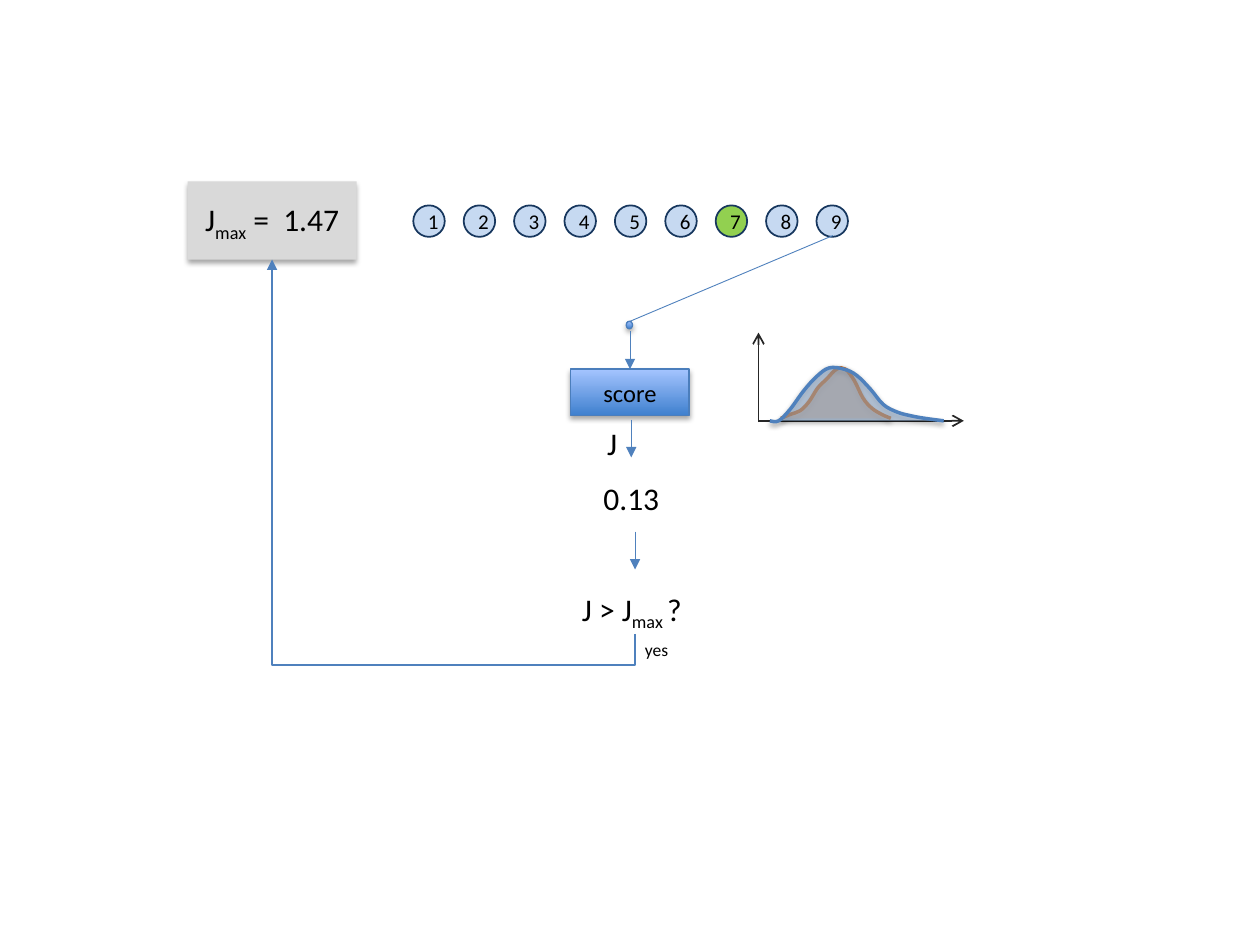
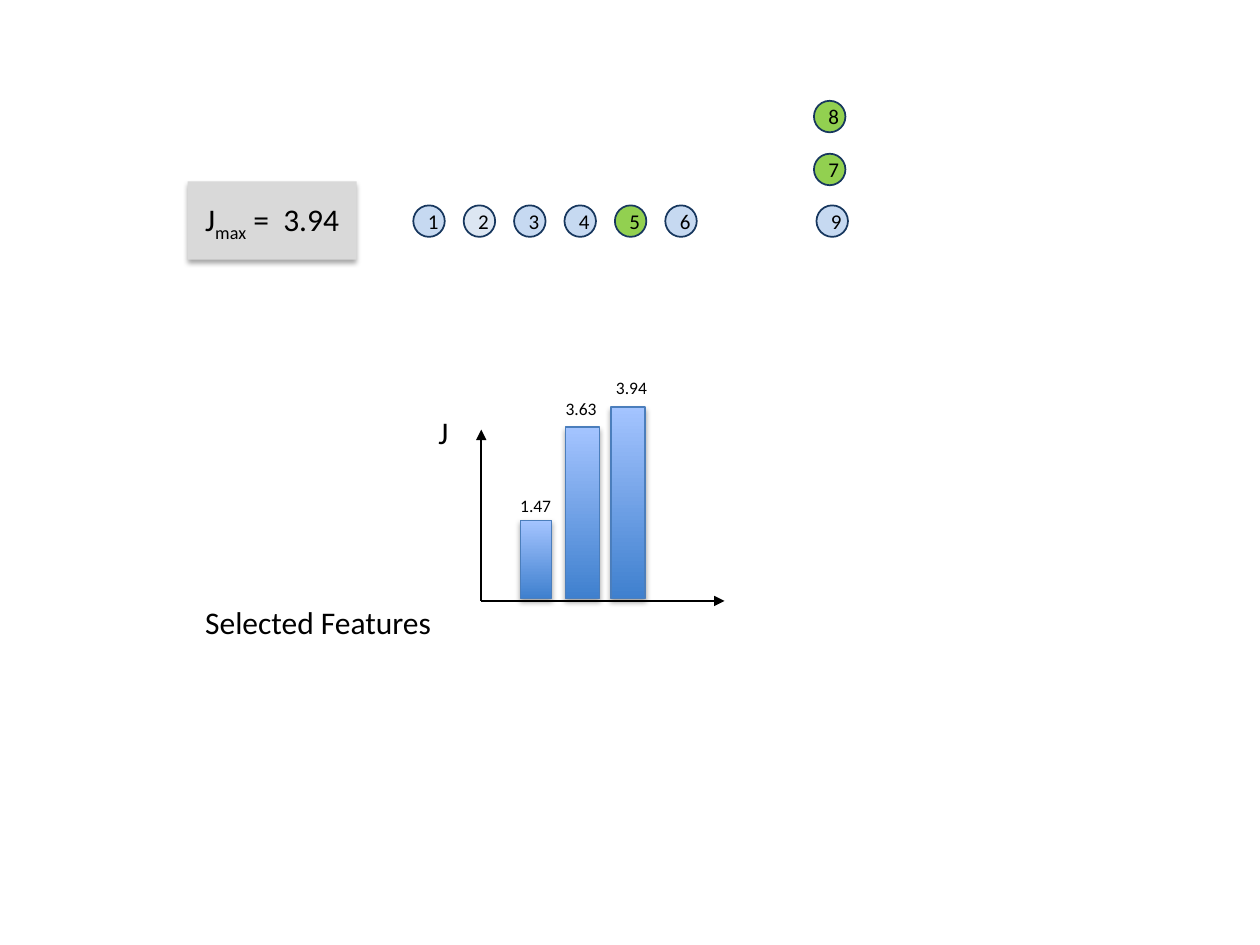
from lxml import etree
from pptx import Presentation
from pptx.dml.color import RGBColor
from pptx.enum import shapes, text
from pptx.oxml import ns
from pptx.util import Inches, Pt

HUES = {
    "black": "000000", "axis": "262626", "navy": "17375E", "blue": "4F81BD",
    "edge": "4B7EBC", "deep": "3F80CE", "light": "A4C4FF", "pale": "C6D9F1",
    "faint": "DCE6F2", "green": "92D050", "gray": "D9D9D9",
    "peach": "FAC090", "orange": "E46C0A", "mist": "95B3D7",
}
FONT = "Calibri"
PLAIN = {}
LOW = {"baseline": "-25000"}
LOOSE = {"spc": "400"}
RECT = shapes.MSO_SHAPE.RECTANGLE
OVAL = shapes.MSO_SHAPE.OVAL
NARROW = [(0, 0.4), (0.07, 0.37), (0.15, 0.34), (0.22, 0.27), (0.29, 0.16),
          (0.36, 0.09), (0.44, 0.01), (0.51, 0.01), (0.58, 0.1),
          (0.65, 0.24), (0.72, 0.32), (0.8, 0.37), (0.87, 0.4)]
WIDE = [(0, 0.43), (0.07, 0.43), (0.16, 0.34), (0.27, 0.19), (0.37, 0.08),
        (0.47, 0.01), (0.59, 0.02), (0.69, 0.07), (0.8, 0.18), (0.9, 0.3),
        (1.01, 0.36), (1.12, 0.39), (1.23, 0.41), (1.38, 0.43)]


def hue(name):
    return RGBColor.from_string(HUES[name])


def sub(node, tag, **attrs):
    return etree.SubElement(node, ns.qn(tag), attrs)


def stroke(item, color, width):
    item.line.color.rgb = hue(color)
    item.line.width = Pt(width)


def shade(shape, alpha=35, drop=1.8):
    glow = sub(shape.element.spPr.find(ns.qn("a:effectLst")), "a:outerShdw",
               blurRad=str(Pt(3.1)), dist=str(Pt(drop)), dir="5400000",
               rotWithShape="0")
    tint = sub(glow, "a:srgbClr", val=HUES["black"])
    sub(tint, "a:alpha", val=str(alpha * 1000))


def write(frame, runs, size):
    para = frame.paragraphs[0]
    for words, extra in runs:
        run = para.add_run()
        run.text = words
        form = {"size": Pt(size), "name": FONT}
        for key, value in form.items():
            setattr(run.font, key, value)
        run.font.color.rgb = hue("black")
        for key, value in extra.items():
            run._r.get_or_add_rPr().set(key, value)
    return para


def label(slide, x, y, w, h, runs, size=18):
    box = slide.shapes.add_textbox(*map(Inches, (x, y, w, h)))
    form = {"word_wrap": False,
            "auto_size": text.MSO_AUTO_SIZE.SHAPE_TO_FIT_TEXT}
    for key, value in form.items():
        setattr(box.text_frame, key, value)
    if isinstance(runs, str):
        runs = [(runs, PLAIN)]
    write(box.text_frame, runs, size)


def block(slide, kind, x, y, w, h, fill=None, words=None, size=12):
    shape = slide.shapes.add_shape(kind, *map(Inches, (x, y, w, h)))
    shape.shadow.inherit = False
    if fill:
        shape.fill.solid()
        shape.fill.fore_color.rgb = hue(fill)
    else:
        shape.fill.gradient()
        shape.fill.gradient_angle = 90
        for stop, name in zip(shape.fill.gradient_stops, ("deep", "light")):
            stop.color.rgb = hue(name)
        stroke(shape, "edge", 0.75)
        shade(shape)
    if words:
        shape.text_frame.vertical_anchor = text.MSO_ANCHOR.MIDDLE
        para = write(shape.text_frame, [(words, PLAIN)], size)
        para.alignment = text.PP_ALIGN.CENTER
    return shape


def link(slide, start, end, color="blue", width=0.5, tip="triangle",
         kind=shapes.MSO_CONNECTOR.STRAIGHT):
    line = slide.shapes.add_connector(kind, *map(Inches, start + end))
    stroke(line, color, width)
    if tip:
        sub(line.line._get_or_add_ln(), "a:tailEnd", type=tip)
    sub(line.element.spPr, "a:effectLst")
    return line


def node(slide, x, y, num, fill="pale"):
    ball = block(slide, OVAL, x, y, 0.25, 0.25, fill, str(num))
    stroke(ball, "navy", 1)


def row(slide, x, y, nums, fills):
    for num in nums:
        node(slide, x + 0.4 * (num - 1), y, num, fills.get(num, "pale"))


def best(slide, x, y, value):
    card = block(slide, RECT, x, y, 1.34, 0.62, "gray")
    card.line.fill.background()
    shade(card)
    label(slide, x + 0.04, y + 0.1, 1.32, 0.4,
          [("J", PLAIN), ("max", LOW), (" =", PLAIN), (" ", LOOSE),
           (value, PLAIN)])


def bend(shape):
    lines = list(shape.element.spPr.iter(ns.qn("a:lnTo")))
    first = lines[0].getprevious()
    spots = [(int(pt.get("x")), int(pt.get("y")))
             for pt in (step[0] for step in [first] + lines)]
    ends = spots[:1] + spots + spots[-1:]
    for line, a, b, c, d in zip(lines, ends, ends[1:], ends[2:], ends[3:]):
        line.tag = ns.qn("a:cubicBezTo")
        line.remove(line[0])
        near = [q + (r - p) / 6 for p, q, r in zip(a, b, c)]
        far = [q - (r - p) / 6 for p, q, r in zip(b, c, d)]
        for px, py in (near, far, c):
            sub(line, "a:pt", x=str(round(px)), y=str(round(py)))


def curve(slide, x, y, points, fill, edge, alpha):
    spots = [(Inches(x + dx), Inches(y + dy)) for dx, dy in points]
    pen = slide.shapes.build_freeform(*spots[0], scale=1.0)
    pen.add_line_segments(spots[1:], close=False)
    hill = pen.convert_to_shape()
    bend(hill)
    hill.shadow.inherit = False
    hill.fill.solid()
    hill.fill.fore_color.rgb = hue(fill)
    tint = hill.element.spPr.find(
        f"{ns.qn('a:solidFill')}/{ns.qn('a:srgbClr')}")
    sub(tint, "a:alpha", val=str(alpha * 1000))
    stroke(hill, edge, 2)
    shade(hill, 38, 1.6)


def density(slide, x, y):
    base = y + 0.7
    link(slide, (x, base + 0.01), (x, y), "axis", 1, "arrow")
    link(slide, (x, base), (x + 1.63, base), "axis", 1, "arrow")
    curve(slide, x + 0.18, y + 0.28, NARROW, "peach", "orange", 53)
    curve(slide, x + 0.09, y + 0.27, WIDE, "mist", "blue", 51)


def flow(slide, x, y):
    mid = x + 0.47
    block(slide, OVAL, mid - 0.03, y, 0.05, 0.06)
    block(slide, RECT, x, y + 0.38, 0.94, 0.37, words="score", size=14)
    for dx, dy in ((0, 0.08), (0.01, 0.78), (0.04, 1.67)):
        link(slide, (mid + dx, y + dy), (mid + dx, y + dy + 0.3))
    label(slide, x + 0.19, y + 0.77, 0.28, 0.4, "J")
    label(slide, x + 0.16, y + 1.2, 0.65, 0.4, "0.13")
    label(slide, x - 0.01, y + 2.08, 1.05, 0.4,
          [("J > J", PLAIN), ("max ", LOW), ("?", PLAIN)])
    label(slide, x + 0.49, y + 2.47, 0.39, 0.27, "yes", 10)


def loop(slide, x, y, w, h):
    cx, cy = x + w / 2, y + h / 2
    elbow = link(slide, (cx + h / 2, cy - w / 2), (cx - h / 2, cy + w / 2),
                 width=1, kind=shapes.MSO_CONNECTOR.ELBOW)
    props = elbow.element.spPr
    props.find(ns.qn("a:xfrm")).set("rot", "5400000")
    shape = props.find(ns.qn("a:prstGeom"))
    guides = shape.find(ns.qn("a:avLst"))
    if guides is None:
        guides = sub(shape, "a:avLst")
    sub(guides, "a:gd", name="adj1", fmla="val -8400")


def bars(slide, x, y):
    base = y + 1.36
    link(slide, (x, base), (x, y), "black", 1)
    link(slide, (x, base), (x + 1.93, base), "black", 1)
    label(slide, x - 0.44, y - 0.18, 0.28, 0.4, "J")
    data = [("1.47", 0.62, 0.25, 0.21, 0.25), ("3.63", 1.36, 0.27, 0.57, 0.28),
            ("3.94", 1.52, 0.27, 0.97, 0.29)]
    for i, (value, high, wide, left, lift) in enumerate(data):
        top = base - 0.02 - high
        block(slide, RECT, x + 0.31 + 0.36 * i, top, wide, high)
        label(slide, x + left, top - lift, 0.45, 0.27, value, 10)


def search(slide):
    row(slide, 3.28, 1.63, range(1, 10), {7: "green"})
    link(slide, (6.61, 1.87), (5, 2.55), tip=None)
    flow(slide, 4.53, 2.55)
    density(slide, 6.02, 2.64)
    best(slide, 1.49, 1.44, "1.47")
    loop(slide, 2.16, 2.06, 2.88, 2.97)


def result(slide):
    row(slide, 3.28, 1.63, [1, 2, 3, 4, 5, 6, 9],
        {2: "faint", 5: "green"})
    for num, y in ((8, 0.8), (7, 1.22)):
        node(slide, 6.46, y, num, "green")
    best(slide, 1.49, 1.44, "3.94")
    label(slide, 1.53, 4.74, 2.02, 0.4, "Selected Features")
    bars(slide, 3.82, 3.41)


def main():
    deck = Presentation()
    deck.slide_width, deck.slide_height = Inches(10), Inches(7.5)
    for draw in (search, result):
        draw(deck.slides.add_slide(deck.slide_layouts[6]))
    deck.save("out.pptx")


if __name__ == "__main__":
    main()
